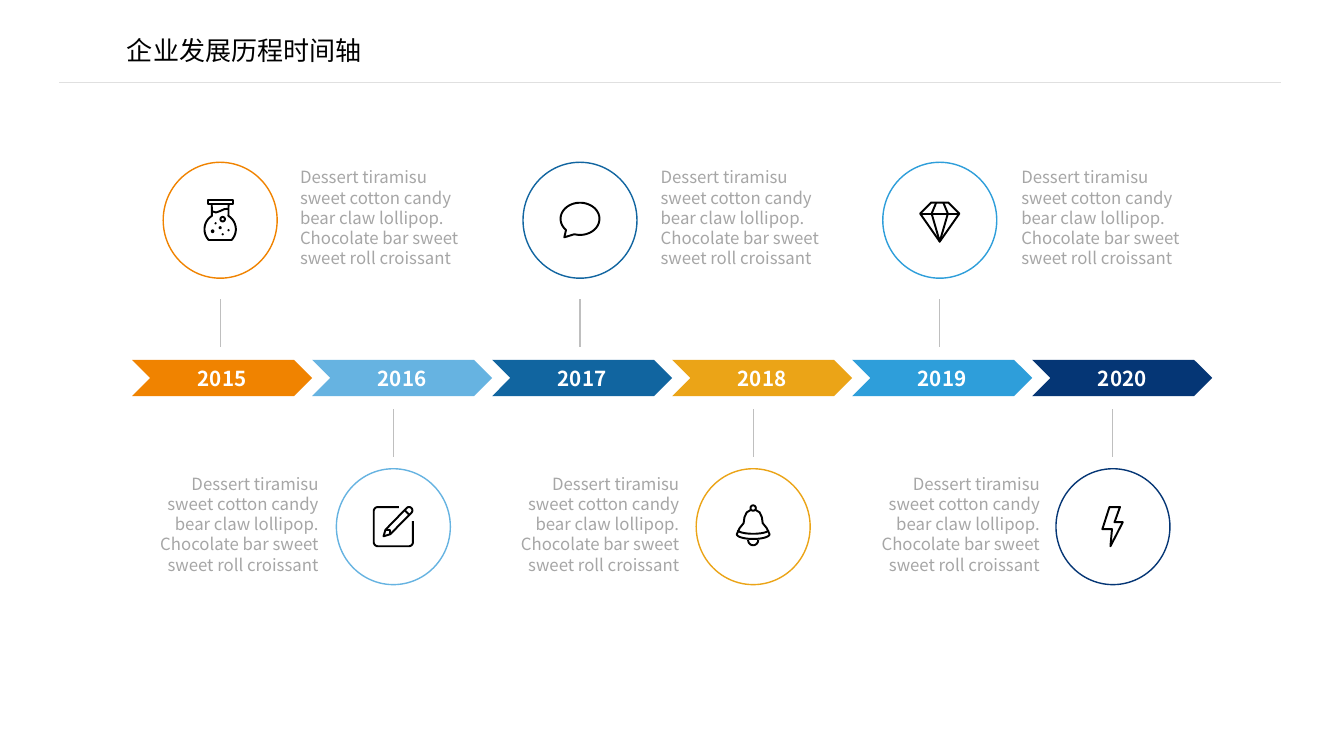
"""Build a company history timeline slide."""
from math import cos, radians, sin

from lxml.etree import SubElement
from pptx import Presentation
from pptx.dml.color import RGBColor
from pptx.enum.shapes import MSO_CONNECTOR as Link, MSO_SHAPE as Kind
from pptx.enum.text import MSO_ANCHOR as Anchor, PP_ALIGN as Align
from pptx.oxml.ns import qn
from pptx.util import Pt

FONT = "Noto Sans CJK SC"
BODY = ("Dessert tiramisu sweet cotton candy bear claw lollipop. "
        "Chocolate bar sweet sweet roll croissant")
CIRC_W, CIRC_H = 81.4, 82.8
STEP = 257


def color(code):
    return RGBColor.from_string(code)


def write(frame, text, size, code, align=Align.LEFT, bold=False):
    para = frame.paragraphs[0]
    para.alignment = align
    run = para.add_run()
    run.text = text
    font = run.font
    font.name, font.size, font.bold = FONT, Pt(size), bold
    font.color.rgb = color(code)
    east = SubElement(font._element, qn("a:ea"))
    east.set("typeface", FONT)
    return para


def add_title(slide, text):
    title = slide.shapes.title
    title.left, title.top = Pt(90.7), Pt(17.3)
    title.width, title.height = Pt(640), Pt(37.4)
    frame = title.text_frame
    frame.margin_left = frame.margin_right = 0
    frame.margin_top = frame.margin_bottom = 0
    frame.vertical_anchor = Anchor.MIDDLE
    write(frame, text, 18.6, "000000")


def add_line(slide, x1, y1, x2, y2, code):
    line = slide.shapes.add_connector(
        Link.STRAIGHT, Pt(x1), Pt(y1), Pt(x2), Pt(y2))
    line.line.color.rgb = color(code)
    line.line.width = Pt(0.75)
    SubElement(line._element.spPr, qn("a:effectLst"))


def add_year(slide, left, year, code):
    arrow = slide.shapes.add_shape(
        Kind.CHEVRON, Pt(left), Pt(257), Pt(128.6), Pt(26))
    arrow.shadow.inherit = False
    arrow.fill.solid()
    arrow.fill.fore_color.rgb = color(code)
    arrow.line.fill.background()
    frame = arrow.text_frame
    frame.vertical_anchor = Anchor.MIDDLE
    write(frame, year, 14.7, "FFFFFF", Align.CENTER, True)


def add_ring(slide, left, top, code):
    ring = slide.shapes.add_shape(
        Kind.OVAL, Pt(left), Pt(top), Pt(CIRC_W), Pt(CIRC_H))
    ring.shadow.inherit = False
    ring.fill.background()
    ring.line.color.rgb = color(code)
    ring.line.width = Pt(1)


def add_note(slide, left, top, align):
    box = slide.shapes.add_textbox(Pt(left), Pt(top), Pt(128.9), Pt(80))
    box.text_frame.word_wrap = True
    para = write(box.text_frame, BODY, 12, "A6A6A6", align)
    para.line_spacing = Pt(14.4)


def add_icon(slide, x, y, parts):
    """Draw (points, closed) outlines around the centre x, y."""
    build = None
    for points, closed in parts:
        spots = [(Pt(x + dx), Pt(y + dy)) for dx, dy in points]
        if build is None:
            build = slide.shapes.build_freeform(*spots[0], scale=1.0)
        else:
            build.move_to(*spots[0])
        build.add_line_segments(spots[1:], close=closed)
    icon = build.convert_to_shape()
    icon.shadow.inherit = False
    icon.fill.background()
    icon.line.color.rgb = color("000000")
    icon.line.width = Pt(1.4)


def arc(x, y, rx, ry, start, end, count=24):
    turns = [radians(start + (end - start) * i / count)
             for i in range(count + 1)]
    return [(x + rx * cos(t), y + ry * sin(t)) for t in turns]


def dot(x, y, r):
    return arc(x, y, r, r, 0, 360), True


def flask():
    cap = [(-9, -14.2), (9, -14.2), (9, -11.6), (-9, -11.6)]
    body = ([(-6, -11.6)] + arc(0, 6.5, 11.2, 11.2, -122, -223)
            + arc(0, 6.5, 11.2, 11.2, 43, -58) + [(6, -11.6)])
    wave = [(-6, -6.4), (-3, -5.5), (0, -6.5), (3, -7.9), (6, -8.1)]
    drops = [(1.8, -0.7, 1.6), (0, 5.4, 0.4), (-5.4, 7.9, 0.6),
             (6, 7.2, 0.1), (1.8, 10.1, 0.1), (-3.3, 2.2, 0.1)]
    return [(cap, True), (body, False), (wave, False)] + [
        dot(*drop) for drop in drops]


def pencil():
    pad = ([(4, -14)] + arc(-11, -11, 3, 3, 270, 180)
           + arc(-11, 11, 3, 3, 180, 90) + arc(11, 11, 3, 3, 90, 0)
           + [(14, -4)])
    pen = ([(-7, 6.9), (-5.6, 2.2)] + arc(11.2, -11.6, 2.4, 2.4, -135, 45)
           + [(-2.2, 5.4)])
    return [(pad, False), (pen, True), ([(8, -11.8), (11.4, -8.4)], False),
            ([(-5.6, 2.2), (-2.2, 2.2), (-2.2, 5.4)], False)]


def bubble():
    return [(arc(0, -1, 13.9, 11.5, 136, 467, 48) + [(-11.2, 12.2)], True)]


def bell():
    side = [(-1.6, -12), (-4.6, -10.2), (-6.2, -6.8), (-6.8, -2.5),
            (-9.7, 1.1), (-11.7, 5.4)]
    twin = [(-x, y) for x, y in reversed(side)]
    return [dot(0, -13.3, 1.9),
            (side + arc(0, 5.4, 11.7, 3.4, 180, 0) + twin, False),
            (arc(0, 2.5, 10.8, 2.6, 180, 0), False),
            (arc(0, 9.5, 3.6, 3.8, 0, 180), False)]


def diamond():
    edge = [(-6.2, -12.6), (6.2, -12.6), (14, -4.7), (0, 15.3), (-14, -4.7)]
    facet = [(-2.5, -12.6), (-5.8, -4.7), (0, 15.3), (5.8, -4.7),
             (2.5, -12.6)]
    return [(edge, True), ([(-14, -4.7), (14, -4.7)], False), (facet, False)]


def bolt():
    return [([(-2.5, -14), (5, -14), (1.1, -3.2), (7, -3.2), (-1.8, 14),
              (-0.7, 1.8), (-7.6, 1.8)], True)]


def main():
    deck = Presentation()
    deck.slide_width, deck.slide_height = Pt(960), Pt(540)
    slide = deck.slides.add_slide(deck.slide_layouts[5])
    add_line(slide, 915, 59, 42, 59, "E0E0E0")
    add_title(slide, "企业发展历程时间轴")
    stages = [("2015", "F08300", flask), ("2016", "66B3E1", pencil),
              ("2017", "1165A0", bubble), ("2018", "EBA417", bell),
              ("2019", "2E9EDA", diamond), ("2020", "053675", bolt)]
    for i, (year, code, draw) in enumerate(stages):
        pair, low = divmod(i, 2)
        add_year(slide, 94.3 + 128.6 * i, year, code)
        if low:
            left, top, stem = 240.3, 334.8, 292.3
            note, align = 105.8, Align.RIGHT
        else:
            left, top, stem = 116.6, 115.9, 213.8
            note, align = 207.2, Align.LEFT
        left += STEP * pair
        mid = left + CIRC_W / 2
        add_ring(slide, left, top, code)
        add_line(slide, mid, stem + 34, mid, stem, "BFBFBF")
        add_icon(slide, mid, top + CIRC_H / 2, draw())
        add_note(slide, note + 257.6 * pair, top, align)
    deck.save("out.pptx")


if __name__ == "__main__":
    main()
